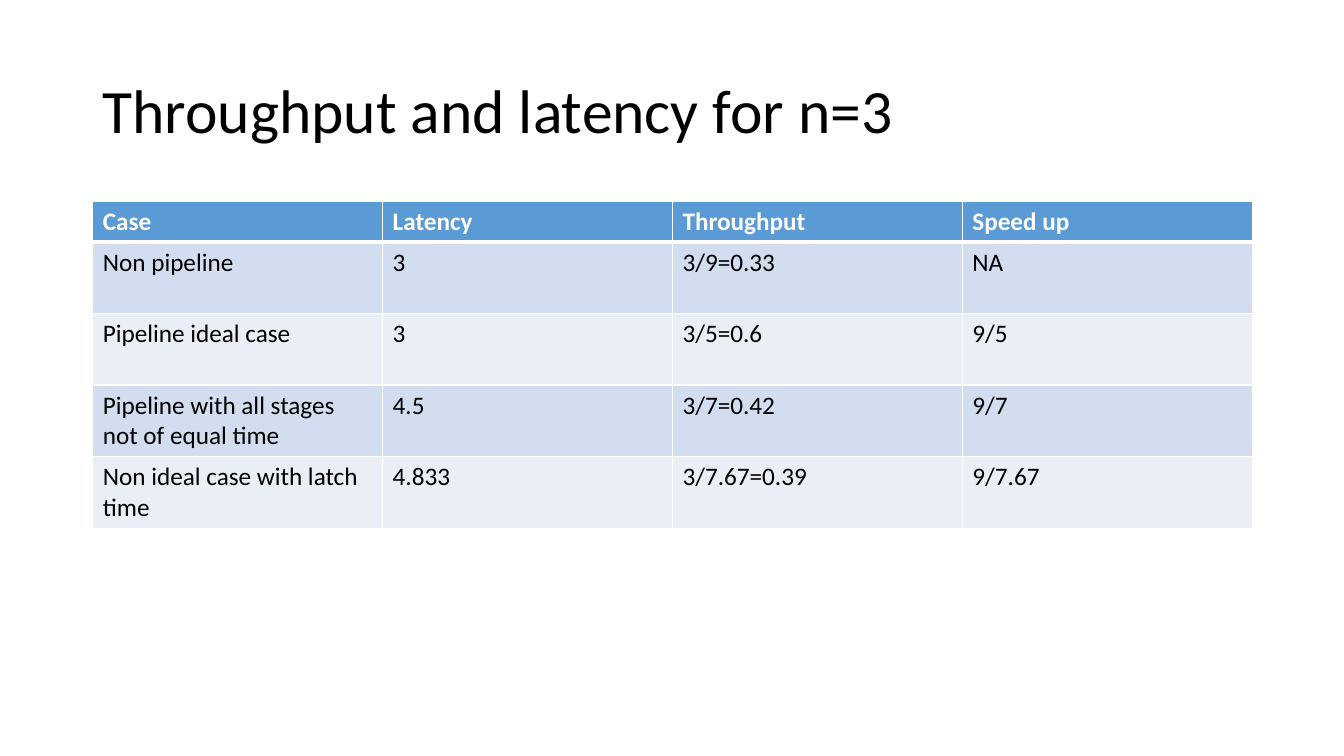
import pptx
import pptx.dml.color
import pptx.enum.text
import pptx.oxml.ns
import pptx.util
from lxml import etree

COLORS = {
    "text": "000000",
    "header_text": "FFFFFF",
    "header": "5B9BD5",
    "odd_row": "D2DEEF",
    "even_row": "EAEFF7",
    "border": "FFFFFF",
}
FONT = "Calibri"
SLIDE_WIDTH, SLIDE_HEIGHT = 13.33, 7.5
MARGIN = 0.92
CONTENT_WIDTH = 11.5
HEADER_HEIGHT, CASE_HEIGHT = 0.4, 0.71

TITLE = "Throughput and latency for n=3"
CASES = [
    ["Case", "Latency", "Throughput", "Speed up"],
    ["Non pipeline", "3", "3/9=0.33", "NA"],
    ["Pipeline ideal case", "3", "3/5=0.6", "9/5"],
    ["Pipeline with all stages not of equal time", "4.5", "3/7=0.42", "9/7"],
    ["Non ideal case with latch time", "4.833", "3/7.67=0.39", "9/7.67"],
]


def rgb(name):
    return pptx.dml.color.RGBColor.from_string(COLORS[name])


def write_text(frame, text, size=18, color="text", bold=False, spacing=1.0):
    frame.word_wrap = True
    paragraph = frame.paragraphs[0]
    paragraph.line_spacing = spacing
    run = paragraph.add_run()
    run.text = text
    run.font.name = FONT
    run.font.size = pptx.util.Pt(size)
    run.font.bold = bold
    run.font.color.rgb = rgb(color)


def set_borders(cell, **widths):
    qn = pptx.oxml.ns.qn
    properties = cell._tc.get_or_add_tcPr()
    for position, (side, points) in enumerate(widths.items()):
        border = etree.Element(qn(f"a:ln{side}"), w=str(pptx.util.Pt(points)))
        fill = etree.SubElement(border, qn("a:solidFill"))
        etree.SubElement(fill, qn("a:srgbClr"), val=COLORS["border"])
        properties.insert(position, border)


def add_title(slide, left, top, width, height):
    title = slide.shapes.add_textbox(*map(pptx.util.Inches, (left, top, width, height)))
    title.text_frame.vertical_anchor = pptx.enum.text.MSO_ANCHOR.MIDDLE
    write_text(title.text_frame, TITLE, size=44, spacing=0.9)


def add_case_table(slide, left, top, width):
    heights = [HEADER_HEIGHT] + [CASE_HEIGHT] * (len(CASES) - 1)
    box = map(pptx.util.Inches, (left, top, width, sum(heights)))
    table = slide.shapes.add_table(len(CASES), len(CASES[0]), *box).table
    for row_index, (case, height) in enumerate(zip(CASES, heights)):
        table.rows[row_index].height = pptx.util.Inches(height)
        is_header = row_index == 0
        band = "header" if is_header else "odd_row" if row_index % 2 else "even_row"
        for column_index, value in enumerate(case):
            cell = table.cell(row_index, column_index)
            cell.fill.solid()
            cell.fill.fore_color.rgb = rgb(band)
            set_borders(cell, L=1, R=1, T=3 if row_index == 1 else 1, B=3 if is_header else 1)
            write_text(cell.text_frame, value, bold=is_header,
                       color="header_text" if is_header else "text")


def main():
    presentation = pptx.Presentation()
    presentation.slide_width = pptx.util.Inches(SLIDE_WIDTH)
    presentation.slide_height = pptx.util.Inches(SLIDE_HEIGHT)
    slide = presentation.slides.add_slide(presentation.slide_layouts[6])
    add_title(slide, MARGIN, 0.4, CONTENT_WIDTH, 1.45)
    add_case_table(slide, MARGIN, 2, CONTENT_WIDTH)
    presentation.save("out.pptx")


if __name__ == "__main__":
    main()
